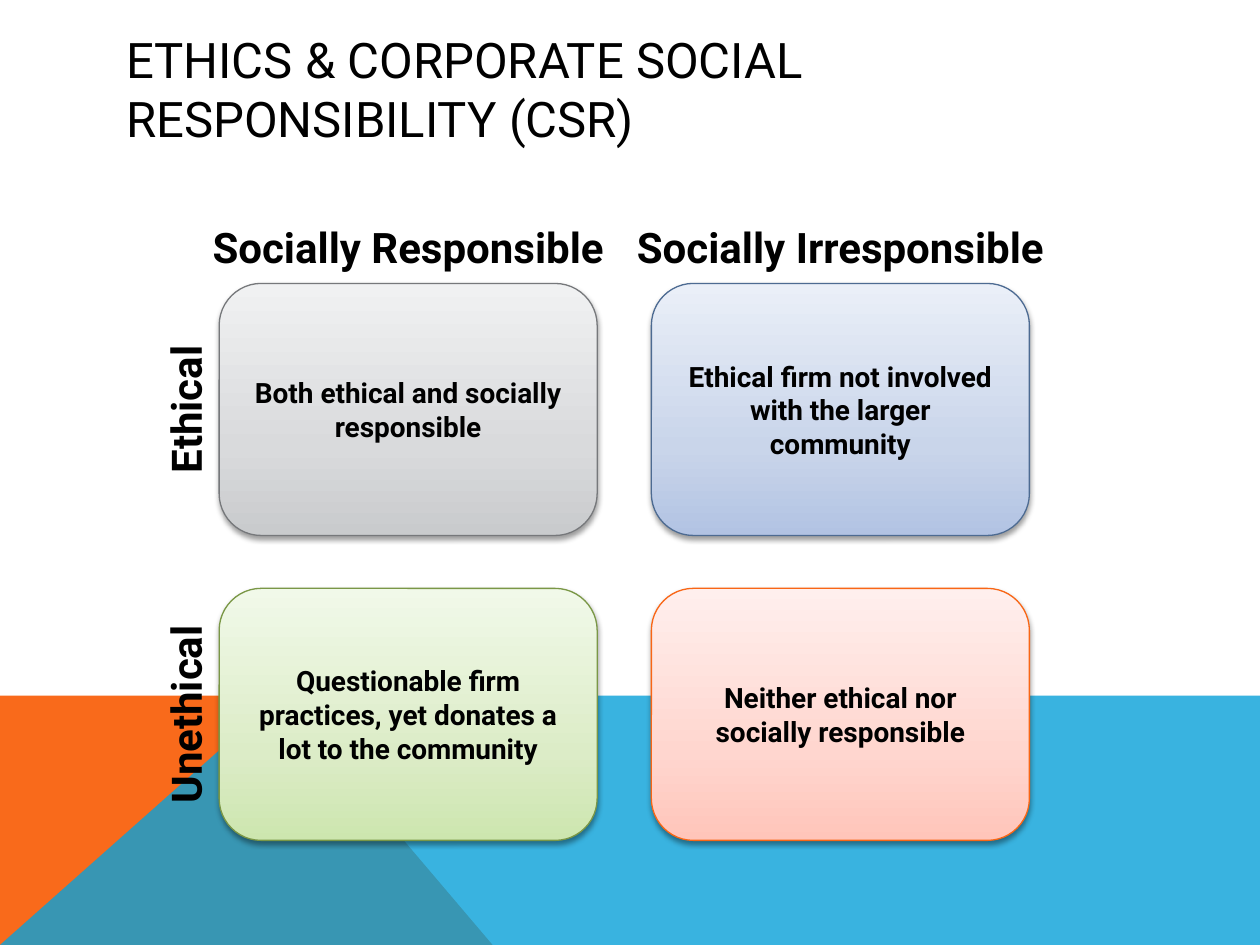
import copy

import lxml.etree
import pptx
import pptx.dml.color
import pptx.enum.shapes
import pptx.enum.text
import pptx.oxml.ns
import pptx.util

Pt = pptx.util.Pt
RGBColor = pptx.dml.color.RGBColor
Shapes = pptx.enum.shapes.MSO_SHAPE
Center = pptx.enum.text.PP_ALIGN.CENTER
Middle = pptx.enum.text.MSO_ANCHOR.MIDDLE
qn = pptx.oxml.ns.qn

FONT = "Roboto"
BLACK = RGBColor(0x00, 0x00, 0x00)
ORANGE = RGBColor(0xF9, 0x6A, 0x1B)
BLUE = RGBColor(0x08, 0xA1, 0xD9)

# Each palette: gradient from bottom to top, then the outline
GRAY_CELL = ([RGBColor(0xC9, 0xCB, 0xCD), RGBColor(0xD9, 0xDA, 0xDC),
              RGBColor(0xF0, 0xF1, 0xF2)], RGBColor(0x76, 0x78, 0x7B))
BLUE_CELL = ([RGBColor(0xB2, 0xC3, 0xE3), RGBColor(0xC9, 0xD5, 0xEA),
              RGBColor(0xEA, 0xEF, 0xF8)], RGBColor(0x4D, 0x6B, 0x92))
GREEN_CELL = ([RGBColor(0xCD, 0xE6, 0xAF), RGBColor(0xDC, 0xEC, 0xC7),
               RGBColor(0xF1, 0xF9, 0xE9)], RGBColor(0x7A, 0x97, 0x46))
RED_CELL = ([RGBColor(0xFF, 0xC5, 0xBA), RGBColor(0xFF, 0xD6, 0xCF),
             RGBColor(0xFF, 0xEF, 0xED)], RGBColor(0xF9, 0x66, 0x15))
STOPS = (0, 0.35, 1)

COLUMNS = ["Socially Responsible", "Socially Irresponsible"]
ROWS = ["Ethical", "Unethical"]
CELLS = [
    [(["Both ethical and socially", "responsible"], GRAY_CELL),
     (["Ethical firm not involved", "with the larger", "community"], BLUE_CELL)],
    [(["Questionable firm", "practices, yet donates a", "lot to the community"],
      GREEN_CELL),
     (["Neither ethical nor", "socially responsible"], RED_CELL)],
]


def write_lines(frame, lines, size, bold=True, align=Center):
    frame.vertical_anchor = Middle
    for index, line in enumerate(lines):
        para = frame.add_paragraph() if index else frame.paragraphs[0]
        para.alignment = align
        span = para.add_run()
        span.text = line
        span.font.name = FONT
        span.font.size = Pt(size)
        span.font.bold = bold
        span.font.color.rgb = BLACK


def add_title(page, box):
    title = page.shapes.title
    title.left, title.top, title.width, title.height = map(Pt, box)
    title.text_frame.word_wrap = True
    title.text_frame.auto_size = pptx.enum.text.MSO_AUTO_SIZE.NONE
    write_lines(title.text_frame, ["ETHICS & CORPORATE SOCIAL RESPONSIBILITY (CSR)"],
                28, bold=False, align=pptx.enum.text.PP_ALIGN.LEFT)


def add_polygon(page, points, color):
    corners = [(Pt(x), Pt(y)) for x, y in points]
    builder = page.shapes.build_freeform(*corners[0])
    builder.add_line_segments(corners[1:], close=True)
    polygon = builder.convert_to_shape()
    polygon.shadow.inherit = False
    polygon.fill.solid()
    polygon.fill.fore_color.rgb = color
    polygon.line.fill.background()
    return polygon


def add_footer_band(page, box):
    left, top, width, height = box
    right, bottom = left + width, top + height
    peak = left + 160.5
    add_polygon(page, [(left, bottom), (left, top), (peak, top),
                       (left + 281.5, bottom)], ORANGE)
    sheet = add_polygon(page, [(left, bottom), (peak, top), (right, top),
                               (right, bottom)], BLUE)
    color = sheet.element.spPr.find(".//" + qn("a:srgbClr"))
    lxml.etree.SubElement(color, qn("a:alpha"), val="80000")


def add_label(page, box, text, rotation=0):
    label = page.shapes.add_textbox(*map(Pt, box))
    label.rotation = rotation
    frame = label.text_frame
    frame.margin_left = frame.margin_right = 0
    frame.margin_top = frame.margin_bottom = 0
    frame.word_wrap = False
    write_lines(frame, [text], 24)


def add_soft_shadow(shape):
    shape.shadow.inherit = False
    effects = shape.element.spPr.find(qn("a:effectLst"))
    shadow = lxml.etree.SubElement(
        effects, qn("a:outerShdw"), blurRad=str(Pt(3.1)), dist=str(Pt(1.6)),
        dir="5400000", rotWithShape="0")
    color = lxml.etree.SubElement(shadow, qn("a:srgbClr"), val=str(BLACK))
    lxml.etree.SubElement(color, qn("a:alpha"), val="38000")


def fill_gradient(shape, colors):
    shape.fill.gradient()
    shape.fill.gradient_angle = 90
    stop_list = shape.element.spPr.find(".//" + qn("a:gsLst"))
    stop_list.append(copy.deepcopy(stop_list[-1]))
    for stop, position, color in zip(shape.fill.gradient_stops, STOPS, colors):
        stop.position = position
        stop.color.rgb = color


def add_cell(page, box, lines, palette):
    colors, outline = palette
    cell = page.shapes.add_shape(Shapes.ROUNDED_RECTANGLE, *map(Pt, box))
    fill_gradient(cell, colors)
    cell.line.color.rgb = outline
    cell.line.width = Pt(0.75)
    add_soft_shadow(cell)
    cell.text_frame.word_wrap = True
    write_lines(cell.text_frame, lines, 16)


def add_matrix(page, box):
    """Fill the box with a two-by-two grid; labels sit above and to its left."""
    left, top, width, height = box
    cell_width, cell_height = 216, 144
    overhang = 14  # headings are wider than their cells
    lefts = [left, left + width - cell_width]
    tops = [top, top + height - cell_height]
    for x, text in zip(lefts, COLUMNS):
        add_label(page, (x - overhang, top - 30, cell_width + 2 * overhang, 18), text)
    for y, text in zip(tops, ROWS):
        add_label(page, (left - 91.5, y + cell_height / 2 - 10, 144, 20), text, 270)
    for y, row in zip(tops, CELLS):
        for x, (lines, palette) in zip(lefts, row):
            add_cell(page, (x, y, cell_width, cell_height), lines, palette)


def main():
    deck = pptx.Presentation()
    deck.slide_width, deck.slide_height = Pt(720), Pt(540)
    page = deck.slides.add_slide(deck.slide_layouts[5])
    add_footer_band(page, (0, 397.5, 720, 142.5))
    add_title(page, (65, 29, 592, 43))
    add_matrix(page, (125.25, 162, 463, 318.25))
    deck.save("out.pptx")


if __name__ == "__main__":
    main()
